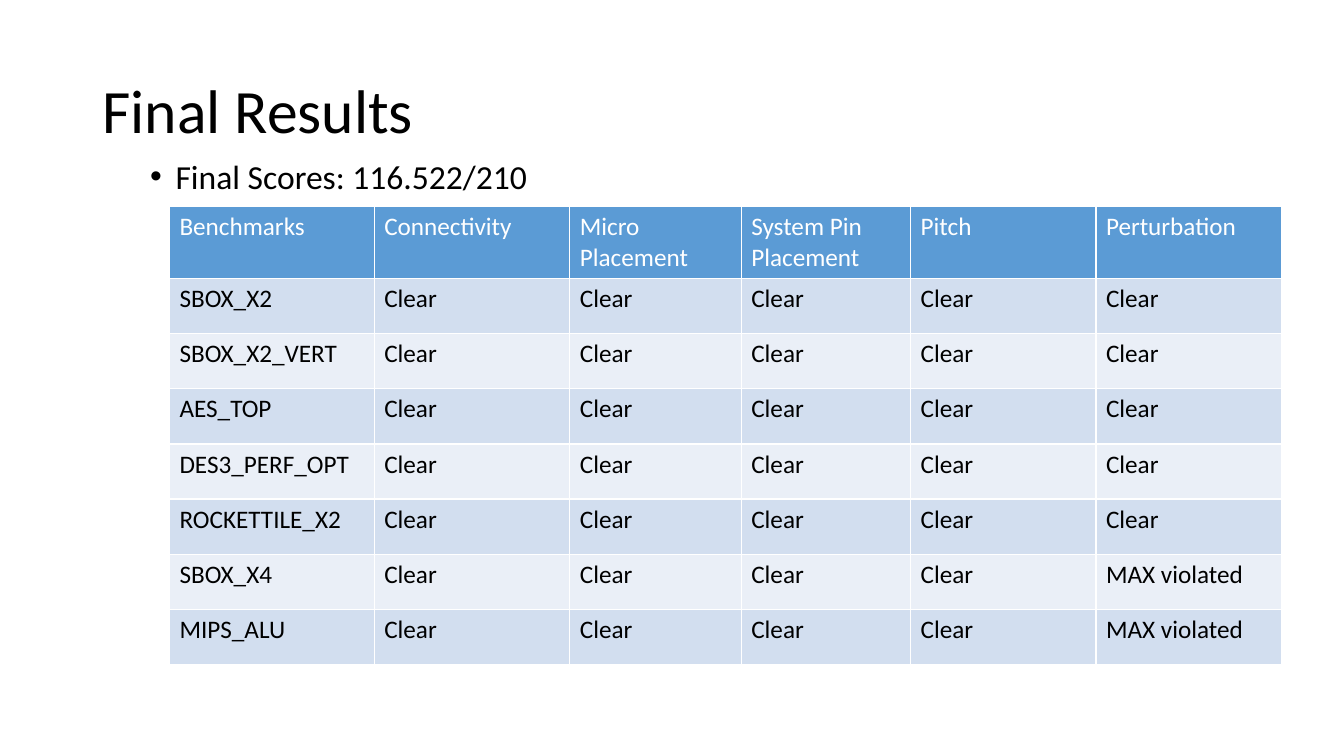
from dataclasses import dataclass

import lxml.etree
import pptx
import pptx.dml.color
import pptx.enum.text
import pptx.oxml.ns
import pptx.shapes.placeholder
import pptx.table
import pptx.text.text
import pptx.util
from pptx.util import Cm

FONT = "Calibri"
COLORS = {
    "text": "000000",
    "white": "FFFFFF",
    "header": "5B9BD5",
    "odd_row": "D2DEEF",
    "even_row": "EAEFF7",
}
HEADER_HEIGHT, ROW_HEIGHT = Cm(1.81), Cm(1.39)


@dataclass
class Column:
    heading: str
    width: float


@dataclass
class Benchmark:
    name: str
    perturbation: str = "Clear"

    def values(self) -> list[str]:
        return [self.name] + ["Clear"] * 4 + [self.perturbation]


COLUMNS = [
    Column("Benchmarks", 5.16),
    Column("Connectivity", 4.93),
    Column("Micro Placement", 4.32),
    Column("System Pin Placement", 4.27),
    Column("Pitch", 4.67),
    Column("Perturbation", 4.67),
]
BENCHMARKS = [
    Benchmark("SBOX_X2"),
    Benchmark("SBOX_X2_VERT"),
    Benchmark("AES_TOP"),
    Benchmark("DES3_PERF_OPT"),
    Benchmark("ROCKETTILE_X2"),
    Benchmark("SBOX_X4", "MAX violated"),
    Benchmark("MIPS_ALU", "MAX violated"),
]


def rgb(name: str) -> pptx.dml.color.RGBColor:
    return pptx.dml.color.RGBColor.from_string(COLORS[name])


def add_child(parent, tag: str, **attributes: str):
    return lxml.etree.SubElement(parent, pptx.oxml.ns.qn(tag), attributes)


def format_paragraph(p: pptx.text.text._Paragraph, size: float, color: str) -> None:
    p.alignment = pptx.enum.text.PP_ALIGN.LEFT
    for r in p.runs:
        r.font.name = FONT
        r.font.size = pptx.util.Pt(size)
        r.font.bold = False
        r.font.color.rgb = rgb(color)


def fill_placeholder(
    sp: pptx.shapes.placeholder.SlidePlaceholder,
    text: str,
    size: float,
    box: tuple[float, float, float, float],
    anchor: pptx.enum.text.MSO_ANCHOR,
) -> pptx.text.text._Paragraph:
    sp.left, sp.top, sp.width, sp.height = map(Cm, box)
    tf = sp.text_frame
    tf.text = text
    tf.word_wrap = True
    tf.auto_size = pptx.enum.text.MSO_AUTO_SIZE.NONE
    tf.vertical_anchor = anchor
    p = tf.paragraphs[0]
    p.line_spacing = 0.9
    format_paragraph(p, size, "text")
    return p


def make_bullet(p: pptx.text.text._Paragraph) -> None:
    p.level = 1
    p.space_before = pptx.util.Pt(5)
    pPr = p._p.get_or_add_pPr()
    pPr.set("marL", str(Cm(1.9)))
    pPr.set("indent", str(-Cm(0.64)))
    add_child(pPr, "a:buFont", typeface="Arial")
    add_child(pPr, "a:buChar", char="•")


def fill_cell(cell: pptx.table._Cell, text: str, fill: str, color: str) -> None:
    cell.text_frame.text = text
    format_paragraph(cell.text_frame.paragraphs[0], 18, color)
    tcPr = cell._tc.get_or_add_tcPr()
    for side in ("a:lnL", "a:lnR", "a:lnT", "a:lnB"):
        line = add_child(tcPr, side, w=str(pptx.util.Pt(1)))
        add_child(add_child(line, "a:solidFill"), "a:srgbClr", val=COLORS["white"])
    cell.fill.solid()
    cell.fill.fore_color.rgb = rgb(fill)


def add_results_table(slide) -> None:
    width = Cm(sum(column.width for column in COLUMNS))
    height = HEADER_HEIGHT + ROW_HEIGHT * len(BENCHMARKS)
    table = slide.shapes.add_table(
        len(BENCHMARKS) + 1, len(COLUMNS), Cm(4.27), Cm(5.21), width, height
    ).table
    for i, column in enumerate(COLUMNS):
        table.columns[i].width = Cm(column.width)
    rows = [[column.heading for column in COLUMNS]]
    rows += [benchmark.values() for benchmark in BENCHMARKS]
    for i, values in enumerate(rows):
        table.rows[i].height = ROW_HEIGHT if i else HEADER_HEIGHT
        fill = ("odd_row" if i % 2 else "even_row") if i else "header"
        for j, text in enumerate(values):
            fill_cell(table.cell(i, j), text, fill, "text" if i else "white")


def main() -> None:
    prs = pptx.Presentation()
    prs.slide_width, prs.slide_height = Cm(33.87), Cm(19.05)
    slide = prs.slides.add_slide(prs.slide_layouts[1])
    anchors = pptx.enum.text.MSO_ANCHOR
    fill_placeholder(
        slide.shapes.title, "Final Results", 44,
        (2.33, 1.02, 29.21, 3.68), anchors.MIDDLE,
    )
    scores = fill_placeholder(
        slide.placeholders[1], "Final Scores: 116.522/210", 24,
        (2.27, 3.91, 29.21, 14.35), anchors.TOP,
    )
    make_bullet(scores)
    add_results_table(slide)
    prs.save("out.pptx")


if __name__ == "__main__":
    main()
